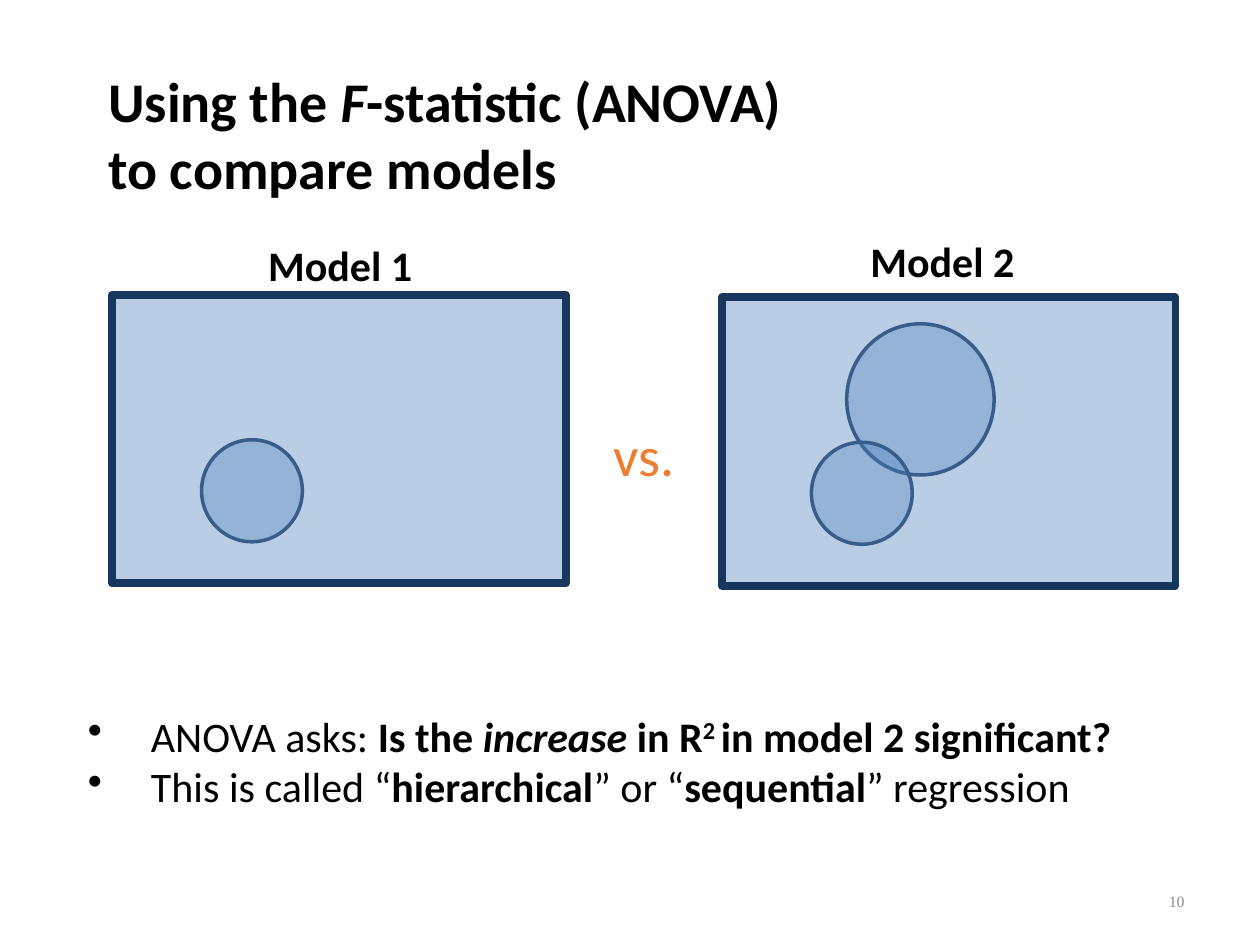
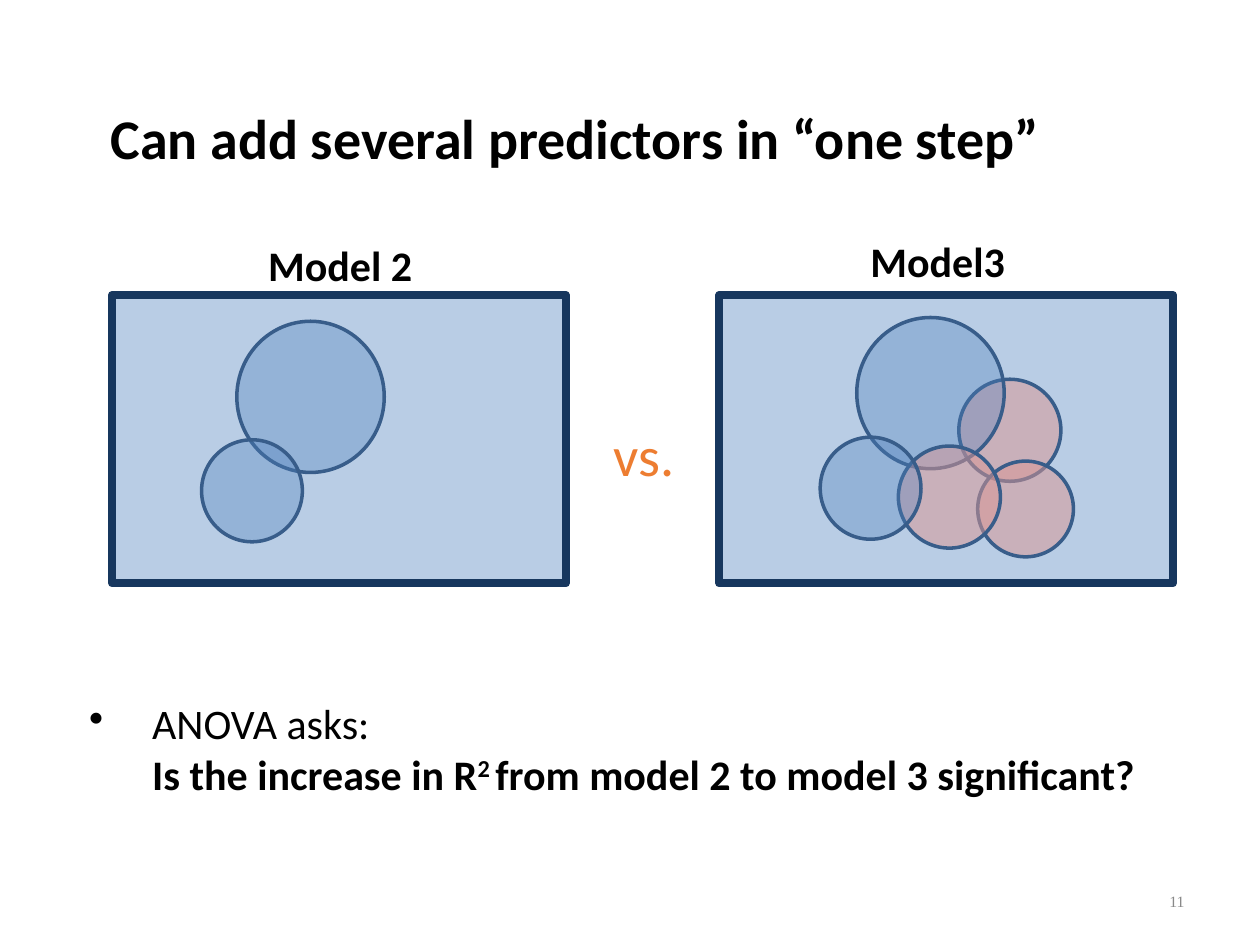
from dataclasses import dataclass
from typing import NamedTuple

from lxml import etree
from pptx import Presentation
from pptx.dml.color import RGBColor
from pptx.enum.shapes import MSO_SHAPE
from pptx.enum.text import MSO_ANCHOR, PP_ALIGN
from pptx.oxml.ns import qn
from pptx.util import Inches, Pt

RECT, OVAL = MSO_SHAPE.RECTANGLE, MSO_SHAPE.OVAL
LEFT, RIGHT = PP_ALIGN.LEFT, PP_ALIGN.RIGHT
TOP, MIDDLE = MSO_ANCHOR.TOP, MSO_ANCHOR.MIDDLE

SLIDE_W, SLIDE_H = Inches(10), Inches(7.5)
COLS, ROWS = 100, 75
BLACK, GREY, ORANGE = "000000", "898989", "ED7D31"
PANEL_FILL, PANEL_LINE, CIRCLE_LINE = "B9CDE5", "17375E", "385D8A"
BLUE, PINK = "4F81BD", "D99694"
OPACITY = {BLUE: 34, PINK: 52}
BODY_FONT, NUMBER_FONT = "Calibri", "Times New Roman"
PANEL_COLS, PANEL_ROWS = 36, 22.9


class Box(NamedTuple):
    """Place and size in grid columns and rows."""
    col: float
    row: float
    cols: float
    rows: float


class Run(NamedTuple):
    text: str
    bold: bool = False
    italic: bool = False
    raised: bool = False


@dataclass
class TextStyle:
    size: float
    color: str = BLACK
    font: str = BODY_FONT
    bold: bool = False
    align: PP_ALIGN = LEFT
    anchor: MSO_ANCHOR = TOP
    wrap: bool = False
    bullet: bool = False


class Circle(NamedTuple):
    """A predictor, placed from the corner of its panel."""
    box: Box
    color: str = BLUE


@dataclass
class Model:
    name: str
    label: Box
    col: float
    row: float
    circles: list[Circle]


@dataclass
class Comparison:
    number: int
    title_box: Box
    title: list[Run]
    models: list[Model]
    body_box: Box
    body: list[list[Run]]


TITLE = TextStyle(32, bold=True)
LABEL = TextStyle(24, bold=True)
VERSUS = TextStyle(32, ORANGE)
BODY = TextStyle(24, wrap=True, bullet=True)
NUMBER = TextStyle(9, GREY, NUMBER_FONT, align=RIGHT, anchor=MIDDLE, wrap=True)
NUMBER_BOX = Box(71.7, 69.5, 23.3, 4)
VERSUS_BOX = Box(47.7, 32.9, 6.9, 6.4)
LEFT_LABEL = Box(20.3, 18.5, 13.4, 5)
RIGHT_LABEL = Box(68.1, 18.2, 13.4, 5)


def small(dx: float = 0, dy: float = 0) -> Circle:
    return Circle(Box(7.1 + dx, 11.5 + dy, 8, 8.1))


def large(dx: float = 0, dy: float = 0) -> Circle:
    return Circle(Box(9.9 + dx, 2.1 + dy, 11.7, 12))


def pink(col: float, row: float, size: float = 8.1) -> Circle:
    return Circle(Box(col, row, size, size), PINK)


COMPARISONS = [
    Comparison(
        10, Box(7.6, 4.8, 56.9, 11.7),
        [Run("Using the ", True), Run("F", True, True),
         Run("-statistic (ANOVA) \nto compare models", True)],
        [Model("Model 1", LEFT_LABEL, 8.9, 23.4, [small()]),
         Model("Model 2", RIGHT_LABEL, 57.3, 23.6, [large(), small()])],
        Box(6, 55.9, 85.6, 9),
        [[Run("ANOVA asks: "), Run("Is the ", True), Run("increase", True, True),
          Run(" in R", True), Run("2 ", True, raised=True),
          Run("in model 2 significant?", True)],
         [Run("This is called “"), Run("hierarchical", True), Run("” or “"),
          Run("sequential", True), Run("” regression")]]),
    Comparison(
        11, Box(7.8, 7.7, 76.3, 6.4),
        [Run("Can add several predictors in “one step”", True)],
        [Model("Model 2", LEFT_LABEL, 8.9, 23.4, [large(), small()]),
         Model("Model3", RIGHT_LABEL, 57.1, 23.4,
               [pink(19, 6.7), large(1, -0.3), pink(20.5, 13.2, 7.6),
                pink(14.2, 12), small(0.9, -0.2)])],
        Box(6.1, 54.9, 85.6, 9),
        [[Run("ANOVA asks: \n"), Run("Is the increase in R", True),
          Run("2 ", True, raised=True),
          Run("from model 2 to model 3 significant?", True)]]),
]


def rgb(color: str) -> RGBColor:
    return RGBColor.from_string(color)


def place(box: Box) -> tuple[int, int, int, int]:
    x, y = SLIDE_W / COLS, SLIDE_H / ROWS
    return (round(box.col * x), round(box.row * y),
            round(box.cols * x), round(box.rows * y))


def add_bullet(p) -> None:
    pPr = p._p.get_or_add_pPr()
    pPr.set("marL", str(Inches(0.5)))
    pPr.set("indent", str(-Inches(0.5)))
    bullet = etree.Element(qn("a:buChar"), char="•")
    pPr.insert(0, bullet)


def add_run(p, run: Run) -> None:
    """Add a run, with a line break at each newline."""
    for i, line in enumerate(run.text.split("\n")):
        if i:
            p.add_line_break()
        if not line:
            continue
        r = p.add_run()
        r.text = line
        r.font.bold, r.font.italic = run.bold, run.italic
        if run.raised:
            r._r.get_or_add_rPr().set("baseline", "30000")


def add_text(s, box: Box, paragraphs: list[list[Run]], style: TextStyle) -> None:
    tf = s.shapes.add_textbox(*place(box)).text_frame
    tf.word_wrap = style.wrap
    tf.vertical_anchor = style.anchor
    for i, runs in enumerate(paragraphs):
        p = tf.add_paragraph() if i else tf.paragraphs[0]
        p.alignment = style.align
        p.font.name, p.font.size = style.font, Pt(style.size)
        p.font.color.rgb = rgb(style.color)
        if style.bullet:
            add_bullet(p)
        for run in runs:
            add_run(p, run)


def add_figure(s, kind: MSO_SHAPE, box: Box, fill: str, line: str, width: float) -> None:
    sp = s.shapes.add_shape(kind, *place(box))
    sp.shadow.inherit = False
    sp.fill.solid()
    sp.fill.fore_color.rgb = rgb(fill)
    sp.line.color.rgb = rgb(line)
    sp.line.width = Pt(width)
    if fill in OPACITY:
        color = sp._element.spPr.find(qn("a:solidFill"))[0]
        etree.SubElement(color, qn("a:alpha"), val=str(OPACITY[fill] * 1000))


def add_model(s, model: Model) -> None:
    panel = Box(model.col, model.row, PANEL_COLS, PANEL_ROWS)
    add_figure(s, RECT, panel, PANEL_FILL, PANEL_LINE, 4.5)
    for box, color in model.circles:
        spot = box._replace(col=model.col + box.col, row=model.row + box.row)
        add_figure(s, OVAL, spot, color, CIRCLE_LINE, 2)
    add_text(s, model.label, [[Run(model.name, LABEL.bold)]], LABEL)


def add_comparison(prs, comparison: Comparison) -> None:
    s = prs.slides.add_slide(prs.slide_layouts[6])
    add_text(s, NUMBER_BOX, [[Run(str(comparison.number))]], NUMBER)
    add_text(s, comparison.title_box, [comparison.title], TITLE)
    add_text(s, comparison.body_box, comparison.body, BODY)
    for model in comparison.models:
        add_model(s, model)
    add_text(s, VERSUS_BOX, [[Run("vs.")]], VERSUS)


def main() -> None:
    prs = Presentation()
    prs.slide_width, prs.slide_height = SLIDE_W, SLIDE_H
    for comparison in COMPARISONS:
        add_comparison(prs, comparison)
    prs.save("out.pptx")


if __name__ == "__main__":
    main()
